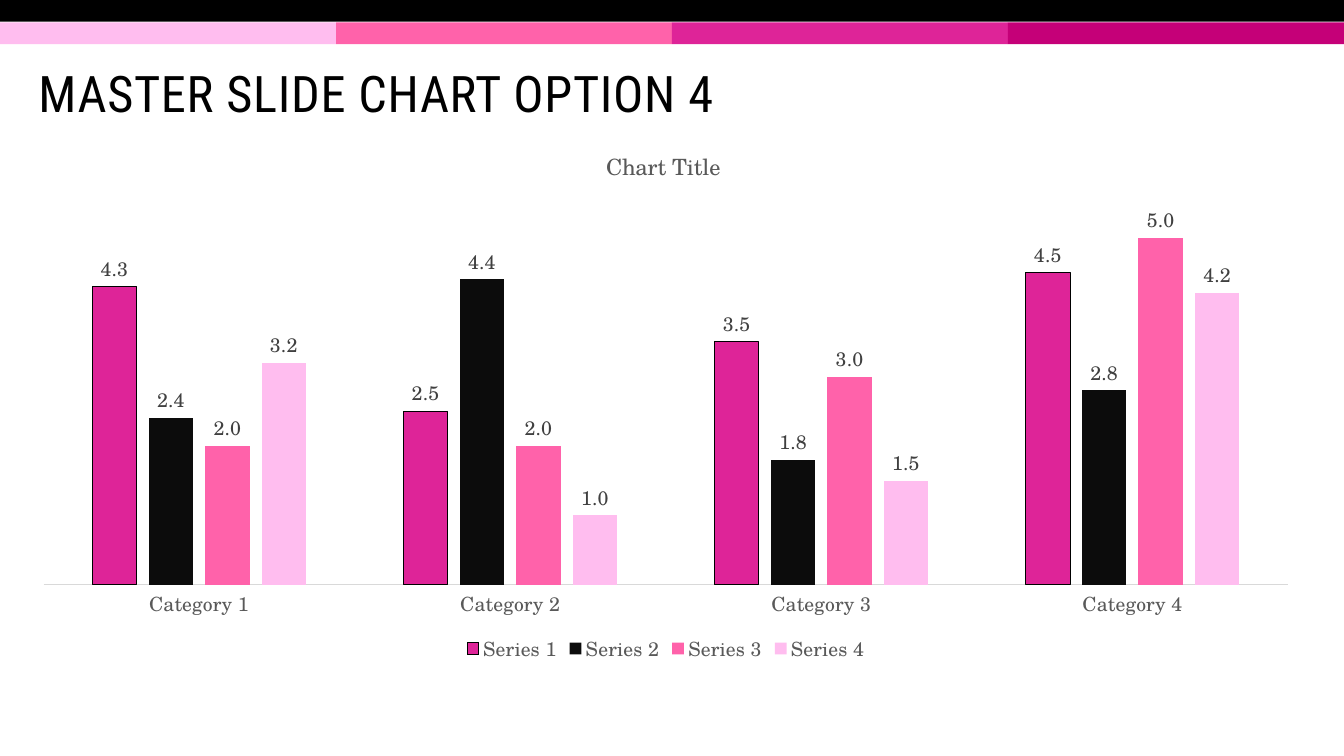
from lxml.etree import SubElement
from pptx import Presentation
from pptx.chart.data import CategoryChartData
from pptx.dml.color import RGBColor
from pptx.enum.chart import XL_CHART_TYPE, XL_LABEL_POSITION, XL_LEGEND_POSITION, XL_TICK_LABEL_POSITION, XL_TICK_MARK
from pptx.enum.shapes import MSO_SHAPE
from pptx.enum.text import MSO_ANCHOR, PP_ALIGN
from pptx.oxml import parse_xml
from pptx.oxml.ns import nsdecls, qn
from pptx.util import Pt

COLORS = {
    "black": "000000", "ink": "0C0C0C", "label": "404040", "gray": "595959", "axis": "D9D9D9",
    "blush": "FFBDEF", "pink": "FF62AA", "magenta": "DE2498", "berry": "C50078",
}
TITLE_FONT = "Roboto Condensed"
CHART_FONT = "TeX Gyre Schola"


def style_font(font, name, size, color):
    font.name = name
    font.size = Pt(size)
    font.bold = False
    font.color.rgb = RGBColor.from_string(COLORS[color])


def set_layout(parent, index, **settings):
    for old_layout in parent.findall(qn("c:layout")):
        parent.remove(old_layout)
    layout = parse_xml(f'<c:layout {nsdecls("c")}><c:manualLayout/></c:layout>')
    for name, value in settings.items():
        SubElement(layout[0], qn(f"c:{name}")).set("val", str(value))
    parent.insert(index, layout)


presentation = Presentation()
presentation.slide_width = Pt(960)
presentation.slide_height = Pt(540)
slide = presentation.slides.add_slide(presentation.slide_layouts[5])

bands = [(0, 0, 960, "black")]
for column, color in enumerate(["blush", "pink", "magenta", "berry"]):
    bands.append((240 * column, 16, 240, color))
for left, top, width, color in bands:
    band = slide.shapes.add_shape(MSO_SHAPE.RECTANGLE, Pt(left), Pt(top), Pt(width), Pt(15.5))
    band.shadow.inherit = False
    band.fill.solid()
    band.fill.fore_color.rgb = RGBColor.from_string(COLORS[color])
    band.line.fill.background()

title = slide.shapes.title
title.left, title.top, title.width, title.height = Pt(20.2), Pt(33.8), Pt(910.8), Pt(70.6)
title.text_frame.text = "MASTER SLIDE CHART OPTION 4"
title.text_frame.vertical_anchor = MSO_ANCHOR.MIDDLE
title.text_frame.word_wrap = True
paragraph = title.text_frame.paragraphs[0]
paragraph.alignment = PP_ALIGN.LEFT
paragraph.line_spacing = 0.85
run = paragraph.runs[0]
style_font(run.font, TITLE_FONT, 36, "black")
run.font._element.set("spc", "50")

series_rows = [
    ("Series 1", [4.3, 2.5, 3.5, 4.5], "magenta"),
    ("Series 2", [2.4, 4.4, 1.8, 2.8], "ink"),
    ("Series 3", [2, 2, 3, 5], "pink"),
    ("Series 4", [3.2, 1, 1.5, 4.2], "blush"),
]
chart_data = CategoryChartData(number_format="0.0")
chart_data.categories = [f"Category {number}" for number in range(1, 5)]
for name, values, color in series_rows:
    chart_data.add_series(name, values)
chart = slide.shapes.add_chart(
    XL_CHART_TYPE.COLUMN_CLUSTERED, Pt(20.2), Pt(87.1), Pt(910.8), Pt(389.5), chart_data
).chart
style_font(chart.font, CHART_FONT, 14, "black")

chart.has_title = True
chart.chart_title.text_frame.text = "Chart Title"
style_font(chart.chart_title.text_frame.paragraphs[0].runs[0].font, CHART_FONT, 16, "gray")
set_layout(chart.chart_title._element, 1, xMode="edge", yMode="edge", x=0.45, y=0.04)

chart.has_legend = True
chart.legend.position = XL_LEGEND_POSITION.BOTTOM
chart.legend.include_in_layout = False
style_font(chart.legend.font, CHART_FONT, 14, "gray")

category_axis = chart.category_axis
category_axis.major_tick_mark = XL_TICK_MARK.NONE
category_axis.format.line.color.rgb = RGBColor.from_string(COLORS["axis"])
category_axis.format.line.width = Pt(0.75)
style_font(category_axis.tick_labels.font, CHART_FONT, 14, "gray")

value_axis = chart.value_axis
value_axis.minimum_scale = 0
value_axis.maximum_scale = 6
value_axis.has_major_gridlines = False
value_axis.tick_label_position = XL_TICK_LABEL_POSITION.NONE
value_axis.visible = False

plot = chart.plots[0]
plot.gap_width = 219
plot.overlap = -27
plot.vary_by_categories = False
set_layout(
    plot._element.getparent(), 0, layoutTarget="inner", xMode="edge", yMode="edge",
    x=0.012, y=0.085, w=0.976, h=0.764,
)
for series, (name, values, color) in zip(plot.series, series_rows):
    series.format.fill.solid()
    series.format.fill.fore_color.rgb = RGBColor.from_string(COLORS[color])
    series.format.line.fill.background()
    labels = series.data_labels
    labels.show_value = True
    labels.number_format = "0.0"
    labels.number_format_is_linked = False
    labels.position = XL_LABEL_POSITION.OUTSIDE_END
    style_font(labels.font, CHART_FONT, 14, "label")
outline = plot.series[0].format.line
outline.color.rgb = RGBColor.from_string(COLORS["black"])
outline.width = Pt(0.75)

presentation.save("out.pptx")
